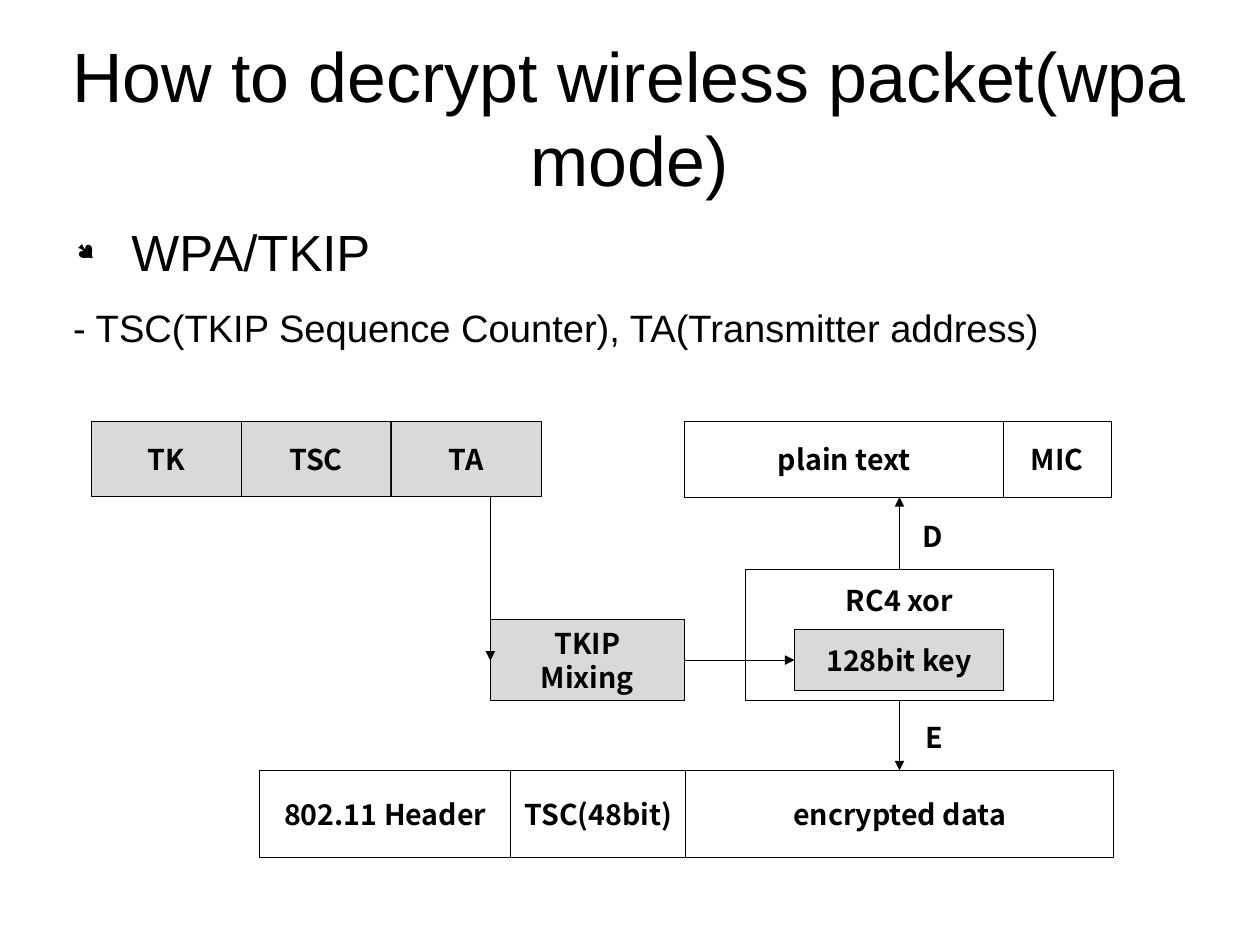
from dataclasses import dataclass
from typing import Optional

from lxml import etree
from pptx import Presentation
from pptx.dml.color import RGBColor
from pptx.enum import shapes, text
from pptx.oxml.ns import qn
from pptx.util import Cm, Inches, Pt

BLACK = RGBColor(0, 0, 0)
GRAY = RGBColor(0xD9, 0xD9, 0xD9)
HEADING_FONT = "Arial"
DIAGRAM_FONT = "Noto Sans CJK KR"
TOP, LEFT, BOTTOM, RIGHT = range(4)


@dataclass
class Box:
    label: str
    left: float
    top: float
    width: float
    height: float
    fill: Optional[RGBColor] = None
    top_inset: Optional[float] = None  # set for a label at the top of the box


@dataclass
class Arrow:
    start: tuple[float, float]
    end: tuple[float, float]
    source: Optional[tuple[str, int]] = None
    target: Optional[tuple[str, int]] = None
    elbow: bool = False


def row(top: float, height: float, left: float, cells: list[tuple[str, float]],
        fill: Optional[RGBColor] = None) -> list[Box]:
    """Place adjoining boxes from left to right."""
    boxes = []
    for label, width in cells:
        boxes.append(Box(label, left, top, width, height, fill))
        left += width
    return boxes


BOXES = [
    *row(6.74, 0.76, 2.27, [("802.11 Header", 2.2), ("TSC(48bit)", 1.53), ("encrypted data", 3.74)]),
    *row(3.69, 0.66, 5.99, [("plain text", 2.79), ("MIC", 0.94)]),
    *row(3.69, 0.65, 0.8, [("TK", 1.31), ("TSC", 1.31), ("TA", 1.32)], GRAY),
    Box("TKIP\nMixing", 4.29, 5.42, 1.7, 0.71, GRAY),
    Box("128bit key", 6.95, 5.51, 1.83, 0.53, GRAY),
    Box("RC4 xor", 6.52, 4.98, 2.7, 1.15, top_inset=0.12),
]
ARROWS = [
    Arrow((7.87, 6.13), (7.87, 6.74), ("RC4 xor", BOTTOM), ("encrypted data", TOP)),
    Arrow((7.87, 4.98), (7.87, 4.35), ("RC4 xor", TOP)),
    Arrow((5.99, 5.78), (6.95, 5.78), ("TKIP\nMixing", RIGHT), ("128bit key", LEFT)),
    Arrow((2.77, 4.34), (4.29, 5.78), elbow=True),
]
DIRECTION_LABELS = [("D", 7.97, 4.49), ("E", 8.0, 6.25)]


def style(paragraph, size: float, name: str, bold: bool = False) -> None:
    font = paragraph.font
    font.size, font.name, font.bold = Pt(size), name, bold
    font.color.rgb = BLACK


def add_text(slide, left: float, top: float, width: float, height: float, inset: bool = True):
    frame = slide.shapes.add_textbox(*map(Inches, (left, top, width, height))).text_frame
    frame.word_wrap = True
    if not inset:
        frame.margin_left = frame.margin_right = frame.margin_top = frame.margin_bottom = 0
    return frame


def add_box(slide, box: Box):
    shape = slide.shapes.add_shape(shapes.MSO_SHAPE.RECTANGLE,
                                   *map(Inches, (box.left, box.top, box.width, box.height)))
    shape.shadow.inherit = False
    shape.line.color.rgb = BLACK
    shape.line.width = Pt(0.5)
    if box.fill is None:
        shape.fill.background()
    else:
        shape.fill.solid()
        shape.fill.fore_color.rgb = box.fill
    frame = shape.text_frame
    frame.word_wrap = True
    frame.vertical_anchor = text.MSO_ANCHOR.MIDDLE
    if box.top_inset is not None:
        frame.vertical_anchor = text.MSO_ANCHOR.TOP
        frame.margin_top = Inches(box.top_inset)
    frame.text = box.label
    for paragraph in frame.paragraphs:
        paragraph.alignment = text.PP_ALIGN.CENTER
        style(paragraph, 18, DIAGRAM_FONT, True)
    return shape


def add_arrow(slide, arrow: Arrow, boxes: dict) -> None:
    kind = shapes.MSO_CONNECTOR.ELBOW if arrow.elbow else shapes.MSO_CONNECTOR.STRAIGHT
    connector = slide.shapes.add_connector(kind, *map(Inches, arrow.start + arrow.end))
    if arrow.source:
        connector.begin_connect(boxes[arrow.source[0]], arrow.source[1])
    if arrow.target:
        connector.end_connect(boxes[arrow.target[0]], arrow.target[1])
    connector.line.color.rgb = BLACK
    connector.line.width = Pt(0.5)
    properties = connector._element.spPr
    if arrow.elbow:  # a single bend: right, then down
        properties.find(qn("a:prstGeom")).set("prst", "bentConnector2")
    etree.SubElement(properties.find(qn("a:ln")), qn("a:tailEnd"), type="triangle")
    etree.SubElement(properties, qn("a:effectLst"))


def add_body(slide) -> None:
    frame = add_text(slide, 0.55, 1.93, 9.92, 4.8, inset=False)
    topic = frame.paragraphs[0]
    detail = frame.add_paragraph()
    topic.text = "WPA/TKIP"
    detail.text = "- TSC(TKIP Sequence Counter), TA(Transmitter address)"
    for paragraph, size, margin, indent in ((topic, 32, 0.6, -0.48), (detail, 24, 0.09, 0)):
        paragraph.space_after = Pt(14.1)
        properties = paragraph._p.get_or_add_pPr()
        properties.set("marL", str(Inches(margin)))
        properties.set("indent", str(Inches(indent)))
        if paragraph is topic:
            etree.SubElement(properties, qn("a:buSzPct"), val="45000")
            etree.SubElement(properties, qn("a:buFont"), typeface="Wingdings", charset="2")
            etree.SubElement(properties, qn("a:buChar"), char="●")
        style(paragraph, size, HEADING_FONT)


def main() -> None:
    presentation = Presentation()
    presentation.slide_width, presentation.slide_height = Cm(28), Cm(21)
    slide = presentation.slides.add_slide(presentation.slide_layouts[6])

    # Title and body text
    title_frame = add_text(slide, 0.55, 0.33, 9.92, 1.38, inset=False)
    title_frame.vertical_anchor = text.MSO_ANCHOR.MIDDLE
    title = title_frame.paragraphs[0]
    title.text = "How to decrypt wireless packet(wpa mode)"
    title.alignment = text.PP_ALIGN.CENTER
    style(title, 44, HEADING_FONT)
    add_body(slide)

    # Diagram
    boxes = {box.label: add_box(slide, box) for box in BOXES}
    for arrow in ARROWS:
        add_arrow(slide, arrow, boxes)
    for label, left, top in DIRECTION_LABELS:
        paragraph = add_text(slide, left, top, 2.64, 0.44).paragraphs[0]
        paragraph.text = label
        style(paragraph, 18, DIAGRAM_FONT, True)

    presentation.save("out.pptx")


if __name__ == "__main__":
    main()
